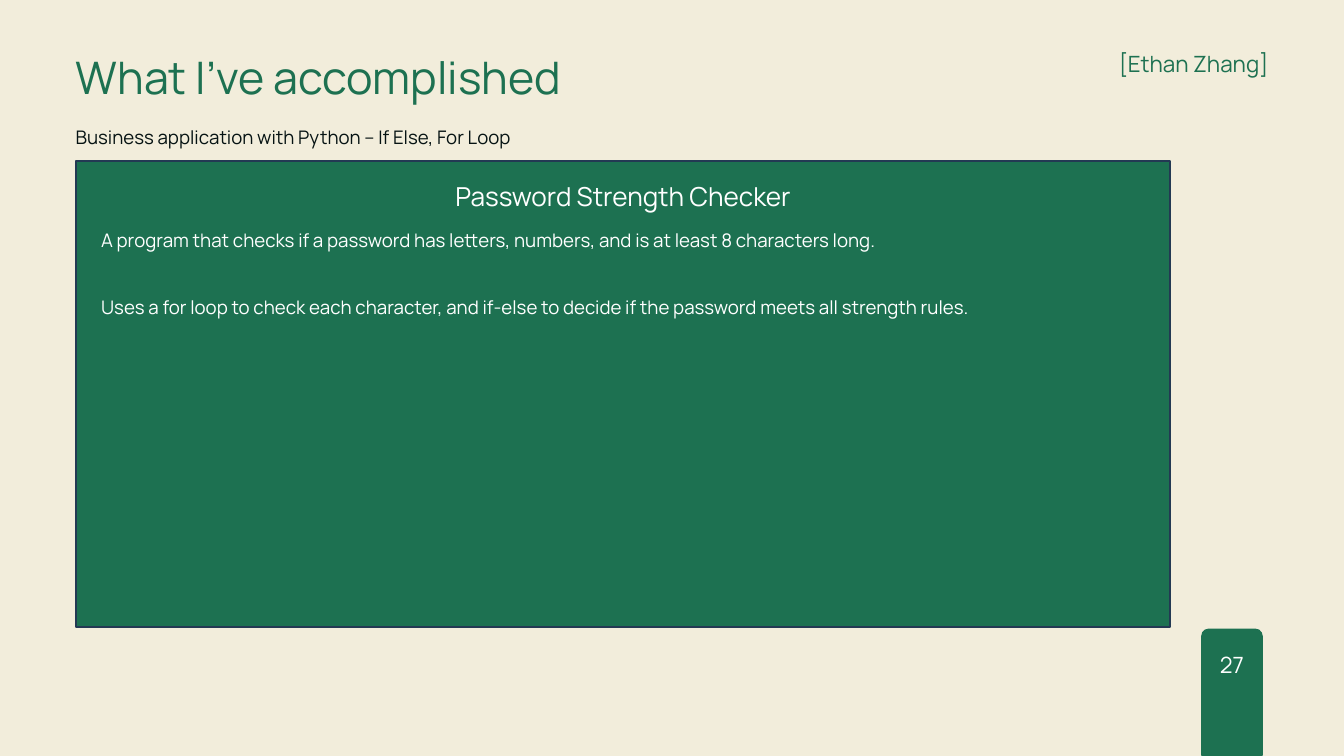
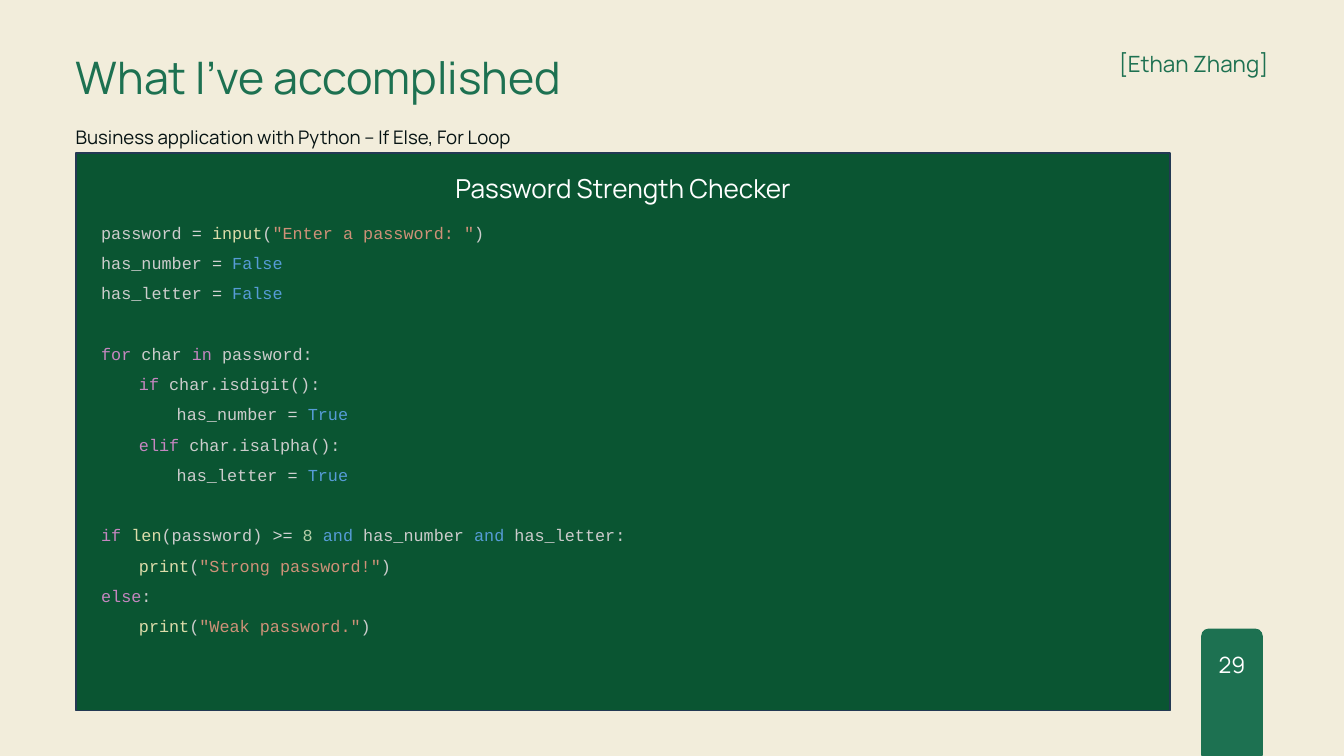
from dataclasses import dataclass

from pptx import Presentation, util as u
from pptx.dml.color import RGBColor
from pptx.enum import shapes as sh, text as tx

PX = 9525  # EMU in one px: the slide is 1920 by 1080 px
CREAM, GREEN, DARK = "F2EDDB", "1D7151", "0A5532"
NAVY, INK, WHITE = "233953", "061313", "FFFFFF"
SANS, MONO = "Manrope", "Courier New"
LEFT, CENTER, RIGHT = tx.PP_ALIGN.LEFT, tx.PP_ALIGN.CENTER, tx.PP_ALIGN.RIGHT

# Syntax colours
NAME, SIGN, CALL, TEXT = "CCCCCC", "D4D4D4", "DCDCAA", "CE9178"
WORD, FLOW, DIGIT = "569CD6", "C586C0", "B5CEA8"
STEP = 54  # px in one code indent, four characters wide


@dataclass(frozen=True)
class Box:
    x: int
    y: int
    w: int
    h: int

    def emu(self) -> list[int]:
        return [v * PX for v in (self.x, self.y, self.w, self.h)]


@dataclass(frozen=True)
class Style:
    size: int
    color: str
    align: tx.PP_ALIGN = LEFT
    lead: float = 1.5  # points when above 3, else a multiple of the line
    font: str = SANS


@dataclass(frozen=True)
class Label:
    box: Box
    text: str
    style: Style


@dataclass(frozen=True)
class Line:
    spans: tuple[tuple[str, str], ...]
    depth: int = 0
    gap: float = 0  # points above the line


@dataclass(frozen=True)
class Panel:
    box: Box
    fill: str
    body: Box
    style: Style
    lines: tuple[Line, ...]


HEAD = Style(28, WHITE, CENTER)
BODY = Style(20, WHITE)
CODE = Style(18, NAME, font=MONO)
TAB = Box(1716, 898, 88, 191)
PAGE = Box(1728, 924, 64, 44)
NOTE = Style(24, WHITE, CENTER, 33.6)
FRAME = (
    Label(Box(108, 160, 864, 47),
          "Business application with Python – If Else, For Loop",
          Style(20, INK, LEFT, 39.2)),
    Label(Box(1439, 65, 373, 44), "[Ethan Zhang]",
          Style(24, GREEN, RIGHT, 33.6)),
    Label(Box(108, 73, 1564, 76), "What I’ve accomplished",
          Style(48, GREEN, LEFT, 56)),
)

ABOUT = Panel(
    Box(108, 230, 1564, 666), GREEN, Box(135, 306, 1504, 151), BODY,
    (
        Line(((WHITE, "A program that checks if a password has letters, "
                      "numbers, and is at least 8 characters long."),)),
        Line(((WHITE, "Uses a for loop to check each character, and if-else "
                      "to decide if the password meets all strength rules."),),
             gap=36),
    ),
)


def assign(name: str, value: str, depth: int = 0) -> Line:
    return Line(((NAME, name + " "), (SIGN, "= "), (WORD, value)), depth)


def say(text: str) -> Line:
    return Line(((CALL, "print"), (NAME, "("), (TEXT, f'"{text}"'),
                 (NAME, ")")), 1)


CHECK = Panel(
    Box(108, 219, 1564, 796), DARK, Box(135, 299, 1504, 703), CODE,
    (
        Line(((NAME, "password "), (SIGN, "= "), (CALL, "input"), (NAME, "("),
              (TEXT, '"Enter a password: "'), (NAME, ")"))),
        assign("has_number", "False"),
        assign("has_letter", "False"),
        Line(((FLOW, "for"), (NAME, " char "), (FLOW, "in"),
              (NAME, " password:")), gap=32.4),
        Line(((FLOW, "if "), (NAME, "char.isdigit():")), 1),
        assign("has_number", "True", 2),
        Line(((FLOW, "elif "), (NAME, "char.isalpha():")), 1),
        assign("has_letter", "True", 2),
        Line(((FLOW, "if "), (CALL, "len"), (NAME, "(password) "),
              (SIGN, ">= "), (DIGIT, "8 "), (WORD, "and "),
              (NAME, "has_number "), (WORD, "and "), (NAME, "has_letter:")),
             gap=32.4),
        say("Strong password!"),
        Line(((FLOW, "else"), (NAME, ":"))),
        say("Weak password."),
    ),
)


def rgb(code: str) -> RGBColor:
    return RGBColor.from_string(code)


def dress(par, style: Style) -> None:
    """Give a paragraph and its runs one style."""
    par.alignment = style.align
    par.line_spacing = u.Pt(style.lead) if style.lead > 3 else style.lead
    for run in par.runs:
        run.font.name = style.font
        run.font.size = u.Pt(style.size)
        run.font.color.rgb = rgb(style.color)


def add_frame(slide, box: Box, inset: bool):
    frame = slide.shapes.add_textbox(*box.emu()).text_frame
    frame.word_wrap = True
    if not inset:
        frame.margin_left = frame.margin_right = 0
        frame.margin_top = frame.margin_bottom = 0
    return frame


def add_label(slide, label: Label) -> None:
    frame = add_frame(slide, label.box, inset=False)
    frame.text = label.text
    dress(frame.paragraphs[0], label.style)


def add_block(slide, kind: sh.MSO_SHAPE, box: Box, fill: str):
    block = slide.shapes.add_shape(kind, *box.emu())
    block.shadow.inherit = False
    block.fill.solid()
    block.fill.fore_color.rgb = rgb(fill)
    block.line.fill.background()
    return block


def add_panel(slide, panel: Panel) -> None:
    block = add_block(slide, sh.MSO_SHAPE.RECTANGLE, panel.box, panel.fill)
    block.line.color.rgb = rgb(NAVY)
    block.line.width = u.Pt(2)
    frame = block.text_frame
    frame.vertical_anchor = tx.MSO_ANCHOR.TOP
    frame.text = "Password Strength Checker"
    dress(frame.paragraphs[0], HEAD)

    frame = add_frame(slide, panel.body, inset=True)
    for i, line in enumerate(panel.lines):
        par = frame.add_paragraph() if i else frame.paragraphs[0]
        for _, part in line.spans:
            par.add_run().text = part
        dress(par, panel.style)
        for run, (color, _) in zip(par.runs, line.spans):
            run.font.color.rgb = rgb(color)
        par.space_before = u.Pt(line.gap)
        if line.depth:
            par._p.get_or_add_pPr().set("marL", str(line.depth * STEP * PX))


def add_page(deck, num: int, panel: Panel) -> None:
    slide = deck.slides.add_slide(deck.slide_layouts[6])
    back = slide.background.fill
    back.solid()
    back.fore_color.rgb = rgb(CREAM)
    tab = add_block(slide, sh.MSO_SHAPE.ROUNDED_RECTANGLE, TAB, GREEN)
    tab.adjustments[0] = 0.12
    for label in (*FRAME, Label(PAGE, str(num), NOTE)):
        add_label(slide, label)
    add_panel(slide, panel)


def main() -> None:
    deck = Presentation()
    deck.slide_width, deck.slide_height = 1920 * PX, 1080 * PX
    for num, panel in ((27, ABOUT), (29, CHECK)):
        add_page(deck, num, panel)
    deck.save("out.pptx")


if __name__ == "__main__":
    main()
